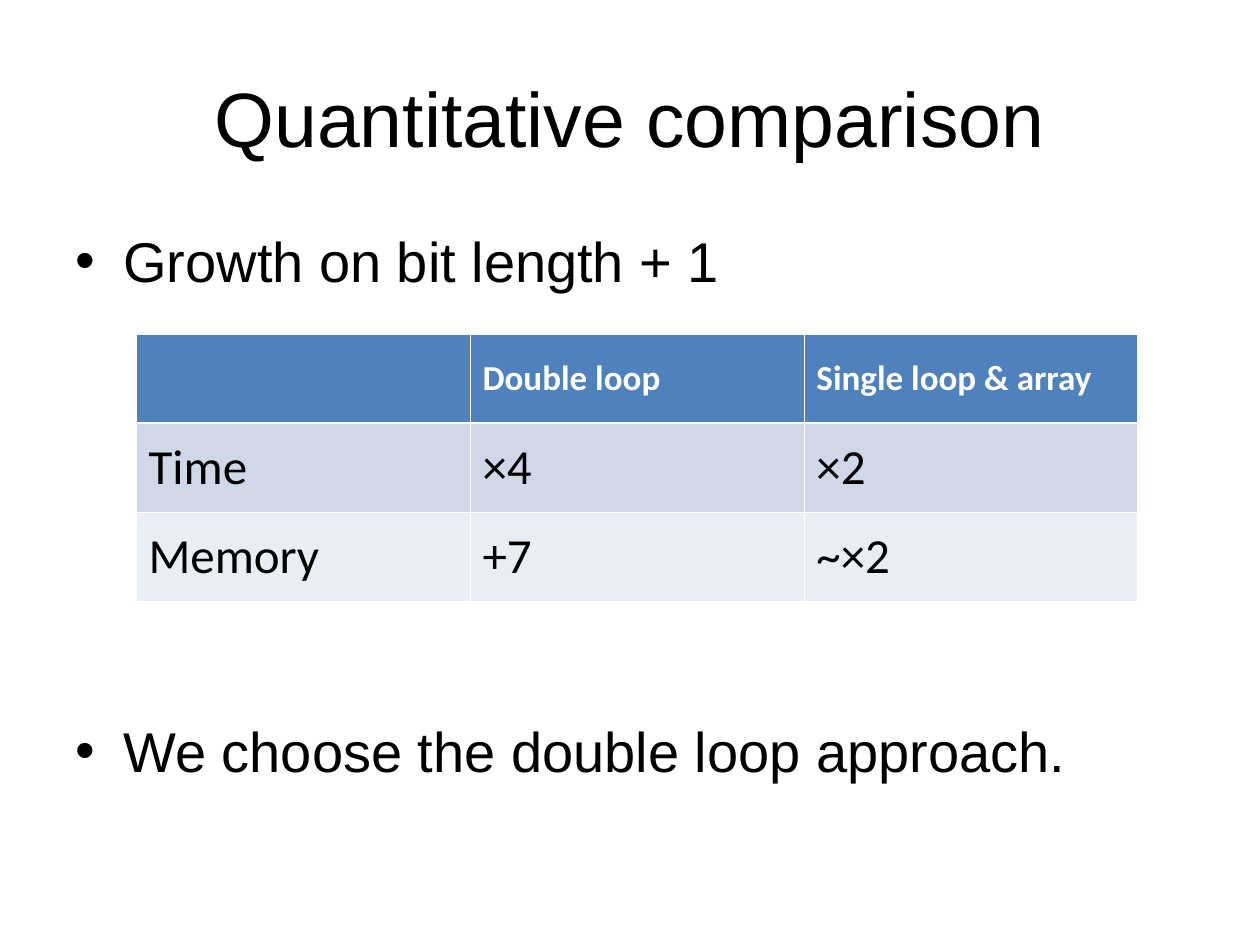
"""Build the slide comparing the growth of two loop approaches."""
from dataclasses import dataclass

import lxml.etree
import pptx
import pptx.dml.color
import pptx.enum.text
import pptx.oxml
import pptx.oxml.ns
import pptx.util

Inches = pptx.util.Inches
Pt = pptx.util.Pt
Align = pptx.enum.text.PP_ALIGN
Anchor = pptx.enum.text.MSO_ANCHOR


@dataclass(frozen=True)
class Theme:
    text_font: str = "Arial"
    table_font: str = "Calibri"
    black: str = "000000"
    white: str = "FFFFFF"
    header_fill: str = "4F81BD"
    row_fills: tuple[str, str] = ("D0D8E8", "E9EDF4")
    title_size: int = 44
    body_size: int = 32
    header_size: int = 20
    cell_size: int = 28
    thin_line: float = 0.45
    thick_line: float = 1.47


@dataclass(frozen=True)
class Bullet:
    text: str
    space_before: float


THEME = Theme()
BULLETS = (
    Bullet("Growth on bit length + 1", 8),
    Bullet("We choose the double loop approach.", 241.5),
)
ROWS = (
    ("", "Double loop", "Single loop & array"),
    ("Time", "×4", "×2"),
    ("Memory", "+7", "~×2"),
)


def rgb(color: str) -> pptx.dml.color.RGBColor:
    return pptx.dml.color.RGBColor.from_string(color)


def write(para, text: str, *, size: float, font: str = THEME.text_font,
          color: str = THEME.black, bold: bool = False,
          align=Align.LEFT, space_before: float = 0) -> None:
    para.alignment = align
    para.space_before = Pt(space_before)
    span = para.add_run()
    span.text = text
    span.font.size = Pt(size)
    span.font.name = font
    span.font.bold = bold
    span.font.color.rgb = rgb(color)


def add_box(page, left: float, top: float, width: float, height: float, anchor):
    box = page.shapes.add_textbox(Inches(left), Inches(top), Inches(width), Inches(height))
    box.text_frame.word_wrap = True
    box.text_frame.vertical_anchor = anchor
    return box.text_frame


def add_bullet_mark(para) -> None:
    properties = para._p.get_or_add_pPr()
    indent = Inches(0.38)
    properties.set("marL", str(indent))
    properties.set("indent", str(-indent))
    font = lxml.etree.SubElement(properties, pptx.oxml.ns.qn("a:buFont"))
    font.set("typeface", THEME.text_font)
    mark = lxml.etree.SubElement(properties, pptx.oxml.ns.qn("a:buChar"))
    mark.set("char", "•")


def set_border(cell, side: str, width: float) -> None:
    line = pptx.oxml.parse_xml(
        f'<a:{side} {pptx.oxml.ns.nsdecls("a")} w="{Pt(width)}"><a:solidFill>'
        f'<a:srgbClr val="{THEME.white}"/></a:solidFill></a:{side}>')
    properties = cell._tc.get_or_add_tcPr()
    position = sum(child.tag.split("}")[1].startswith("ln") for child in properties)
    properties.insert(position, line)


def format_cell(cell, text: str, row: int) -> None:
    header = row == 0
    cell.vertical_anchor = Anchor.MIDDLE
    cell.fill.solid()
    cell.fill.fore_color.rgb = rgb(THEME.header_fill if header else THEME.row_fills[row - 1])
    for side in ("lnL", "lnR", "lnT", "lnB"):
        thick = (row, side) in ((0, "lnB"), (1, "lnT"))
        set_border(cell, side, THEME.thick_line if thick else THEME.thin_line)
    if text:
        write(cell.text_frame.paragraphs[0], text, font=THEME.table_font,
              size=THEME.header_size if header else THEME.cell_size,
              color=THEME.white if header else THEME.black,
              bold=header, space_before=5 if header else 7)


def add_comparison_table(page) -> None:
    table = page.shapes.add_table(len(ROWS), len(ROWS[0]), Inches(1.08), Inches(2.65),
                                  Inches(7.95), Inches(2.12)).table
    for row, texts in enumerate(ROWS):
        for column, text in enumerate(texts):
            format_cell(table.cell(row, column), text, row)


def main() -> None:
    deck = pptx.Presentation()
    deck.slide_width, deck.slide_height = Inches(10), Inches(7.5)
    page = deck.slides.add_slide(deck.slide_layouts[6])
    title = add_box(page, 0.5, 0.3, 9, 1.25, Anchor.MIDDLE)
    write(title.paragraphs[0], "Quantitative comparison",
          size=THEME.title_size, align=Align.CENTER)
    body = add_box(page, 0.5, 1.75, 9, 4.95, Anchor.TOP)
    for index, bullet in enumerate(BULLETS):
        para = body.add_paragraph() if index else body.paragraphs[0]
        write(para, bullet.text, size=THEME.body_size, space_before=bullet.space_before)
        add_bullet_mark(para)
    add_comparison_table(page)
    deck.save("out.pptx")


if __name__ == "__main__":
    main()
